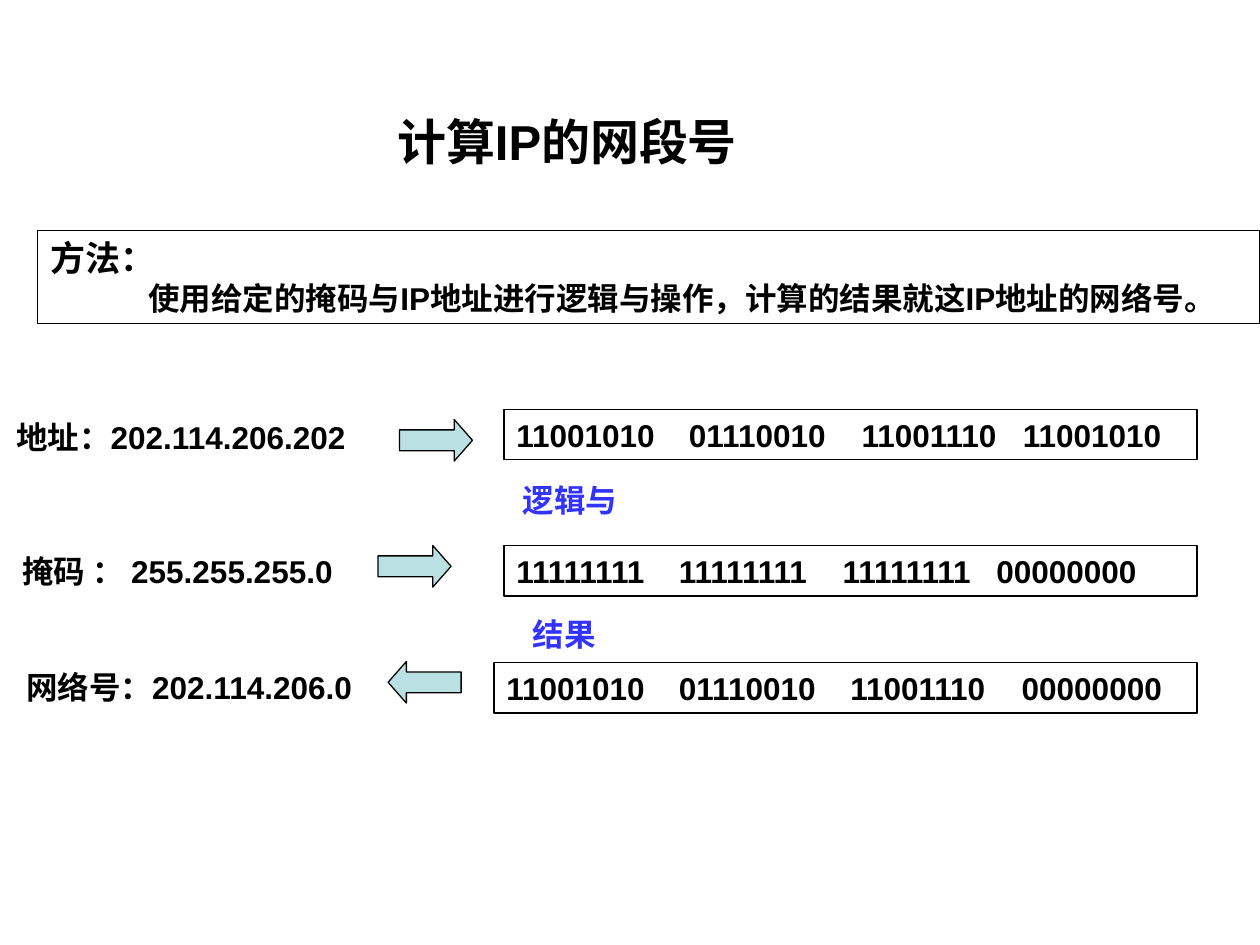
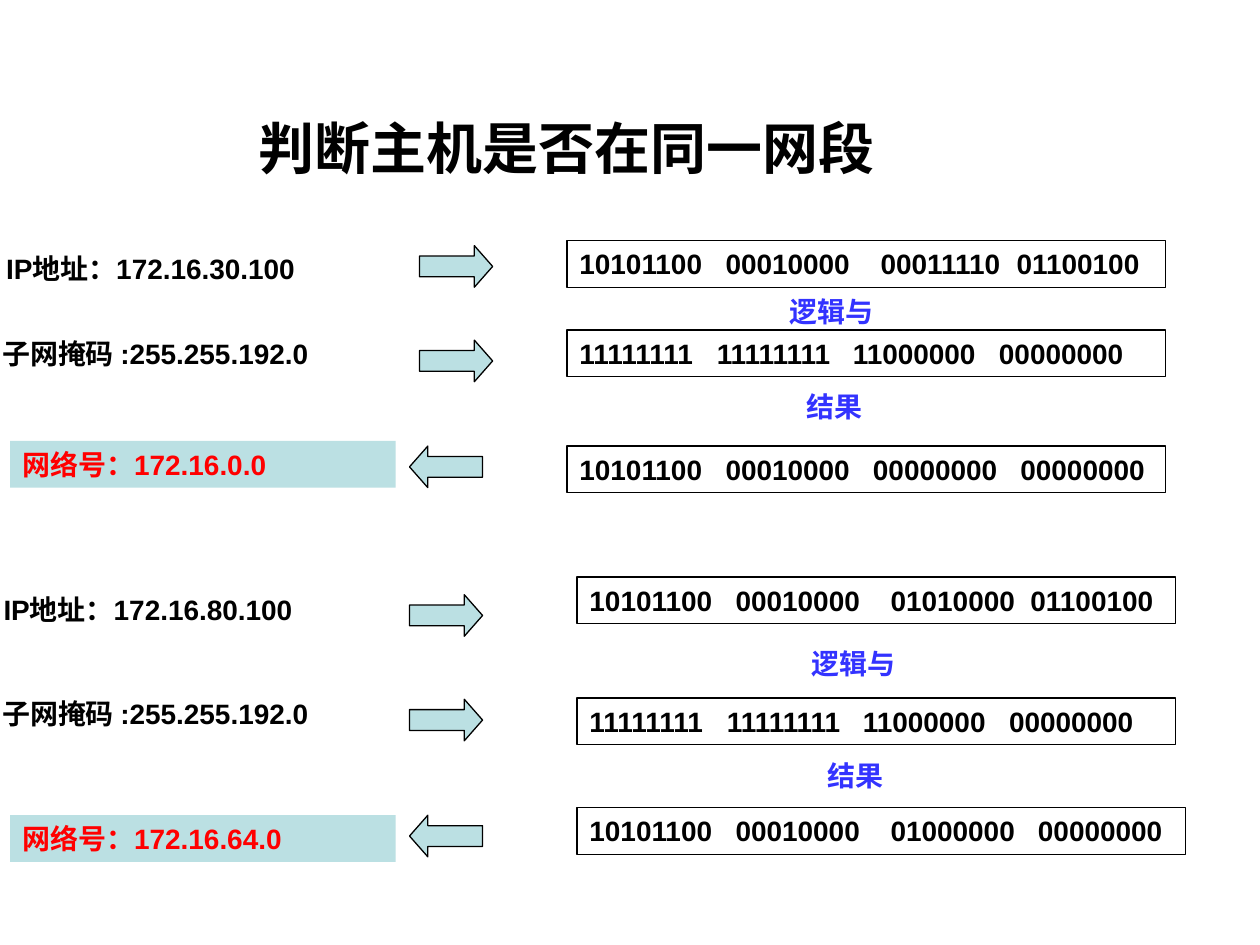
from lxml import etree
from pptx import Presentation
from pptx import util as u
from pptx.dml.color import RGBColor
from pptx.enum import shapes, text
from pptx.oxml.ns import qn

BLACK = RGBColor(0x00, 0x00, 0x00)
BLUE = RGBColor(0x33, 0x33, 0xFF)
RED = RGBColor(0xFF, 0x00, 0x00)
PALE = RGBColor(0xBB, 0xE0, 0xE3)
FONT = "Arial"
ARROW_SIZE = (0.58, 0.33)


def write(paragraph, words, size=18, color=BLACK, align=text.PP_ALIGN.LEFT,
          indent=0, tabs=()):
    """Fill one paragraph with bold text, an optional indent and tab stops."""
    paragraph.alignment = align
    run = paragraph.add_run()
    run.text = words
    run.font.name = FONT
    run.font.size = u.Pt(size)
    run.font.bold = True
    run.font.color.rgb = color
    properties = paragraph._p.get_or_add_pPr()
    if indent:
        properties.set("marL", str(u.Inches(indent)))
        properties.set("indent", "0")
    if tabs:
        tab_list = etree.SubElement(properties, qn("a:tabLst"))
        for stop in tabs:
            etree.SubElement(tab_list, qn("a:tab"), pos=str(u.Inches(stop)), algn="l")


def add_title(slide, words, size, height):
    title = slide.shapes.title
    title.left, title.top = u.Inches(0), u.Inches(0.83)
    title.width, title.height = u.Inches(9), u.Inches(height)
    frame = title.text_frame
    frame.auto_size = text.MSO_AUTO_SIZE.NONE
    frame.vertical_anchor = text.MSO_ANCHOR.MIDDLE
    write(frame.paragraphs[0], words, size=size, align=text.PP_ALIGN.CENTER)


def prepare_frame(holder, wrap):
    frame = holder.text_frame
    frame.word_wrap = wrap
    frame.vertical_anchor = text.MSO_ANCHOR.TOP
    return frame


def add_label(slide, at, words, wrap=True, **style):
    label = slide.shapes.add_textbox(*map(u.Inches, at))
    write(prepare_frame(label, wrap).paragraphs[0], words, **style)


def add_preset(slide, kind, at, fill=None, outlined=True):
    shape = slide.shapes.add_shape(kind, *map(u.Inches, at))
    shape.shadow.inherit = False
    if fill is None:
        shape.fill.background()
    else:
        shape.fill.solid()
        shape.fill.fore_color.rgb = fill
    if outlined:
        shape.line.color.rgb = BLACK
        shape.line.width = u.Pt(0.75)
    else:
        shape.line.fill.background()
    return shape


def add_panel(slide, at, fill=None, outlined=True, wrap=True):
    panel = add_preset(slide, shapes.MSO_SHAPE.RECTANGLE, at, fill, outlined)
    return prepare_frame(panel, wrap)


def add_binary(slide, at, octets, tabs, size):
    """Outlined box holding four octets, each on its own tab stop."""
    frame = add_panel(slide, at)
    write(frame.paragraphs[0], "\t".join(octets.split()), size=size, tabs=tabs)


def add_arrow(slide, left, top, backward=False):
    arrow = add_preset(slide, shapes.MSO_SHAPE.RIGHT_ARROW,
                       (left, top, *ARROW_SIZE), PALE)
    arrow.adjustments[0] = 0.5
    arrow.adjustments[1] = 0.44
    if backward:
        arrow.rotation = 180


def add_steps(slide, operation, result, size, height):
    """Blue captions between the binary rows."""
    and_width = 3 * size / 72 + 0.2
    add_label(slide, (*operation, and_width, height), "逻辑与", wrap=False,
              size=size, color=BLUE)
    add_label(slide, (*result, 0.95, height), "结果", size=size, color=BLUE)


def build_network_number(slide):
    add_title(slide, "计算IP的网段号", 28, 0.58)

    # Method
    method = add_panel(slide, (0.3, 1.83, 9.7, 0.74), wrap=False)
    write(method.paragraphs[0], "方法：", size=20)
    write(method.add_paragraph(),
          "使用给定的掩码与IP地址进行逻辑与操作，计算的结果就这IP地址的网络号。",
          indent=0.78)

    # Address, mask and network number in decimal
    add_label(slide, (0.03, 3.27, 2.95, 0.7), "地址：202.114.206.202")
    add_label(slide, (0.08, 4.33, 3.33, 0.4), "掩码 ： 255.255.255.0")
    add_label(slide, (0.11, 5.25, 3.06, 0.4), "网络号：202.114.206.0")

    # The same three in binary
    for left, top, octets, tabs in (
        (4, 3.25, "11001010 01110010 11001110 11001010", (1.37, 2.74, 4.02)),
        (4, 4.33, "11111111 11111111 11111111 00000000", (1.29, 2.59, 3.81)),
        (3.92, 5.26, "11001010 01110010 11001110 00000000", (1.37, 2.73, 4.09)),
    ):
        add_binary(slide, (left, top, 9.5 - left, 0.4), octets, tabs, 18)

    add_arrow(slide, 3.17, 3.33)
    add_arrow(slide, 3, 4.33)
    add_arrow(slide, 3.08, 5.25, backward=True)
    add_steps(slide, (4.05, 3.77), (4.13, 4.83), 18, 0.4)


def add_host(slide, address, network, address_at, mask_top, network_top,
             binary_left, binary_rows, arrows, operation, result):
    """One host: decimal values, arrows and binary working."""
    size, height = 16, 0.37
    add_label(slide, (*address_at, 2.66, 0.64), f"IP地址：{address}", size=size)
    add_label(slide, (-0.08, mask_top, 3.33, height), "子网掩码 :255.255.192.0",
              size=size)
    frame = add_panel(slide, (0.08, network_top, 3.06, height), PALE, outlined=False)
    write(frame.paragraphs[0], f"网络号：{network}", size=size, color=RED)

    for top, width, octets, tabs in binary_rows:
        add_binary(slide, (binary_left, top, width, height), octets, tabs, size)
    for row, (left, top) in enumerate(arrows):
        add_arrow(slide, left, top, backward=row == 2)
    add_steps(slide, operation, result, size, height)


def build_same_segment(slide):
    add_title(slide, "判断主机是否在同一网段", 32, 0.67)
    mask, mask_tabs = "11111111 11111111 11000000 00000000", (1.09, 2.17, 3.33)

    # First host
    add_host(
        slide, "172.16.30.100", "172.16.0.0",
        address_at=(-0.05, 1.95), mask_top=2.62, network_top=3.5, binary_left=4.5,
        binary_rows=(
            (1.91, 4.75, "10101100 00010000 00011110 01100100", (1.16, 2.39, 3.47)),
            (2.62, 4.75, mask, mask_tabs),
            (3.54, 4.75, "10101100 00010000 00000000 00000000", (1.16, 2.33, 3.5)),
        ),
        arrows=((3.33, 1.95), (3.33, 2.7), (3.25, 3.54)),
        operation=(6.17, 2.29), result=(6.3, 3.04))

    # Second host
    add_host(
        slide, "172.16.80.100", "172.16.64.0",
        address_at=(-0.07, 4.65), mask_top=5.48, network_top=6.47, binary_left=4.58,
        binary_rows=(
            (4.58, 4.75, "10101100 00010000 01010000 01100100", (1.16, 2.39, 3.5)),
            (5.54, 4.75, mask, mask_tabs),
            (6.41, 4.83, "10101100 00010000 01000000 00000000", (1.16, 2.39, 3.56)),
        ),
        arrows=((3.25, 4.72), (3.25, 5.55), (3.25, 6.47)),
        operation=(6.34, 5.08), result=(6.47, 5.97))


def main():
    deck = Presentation()
    deck.slide_width, deck.slide_height = u.Inches(10), u.Inches(7.5)
    title_only = deck.slide_layouts[5]
    for build in (build_network_number, build_same_segment):
        build(deck.slides.add_slide(title_only))
    deck.save("out.pptx")


if __name__ == "__main__":
    main()
